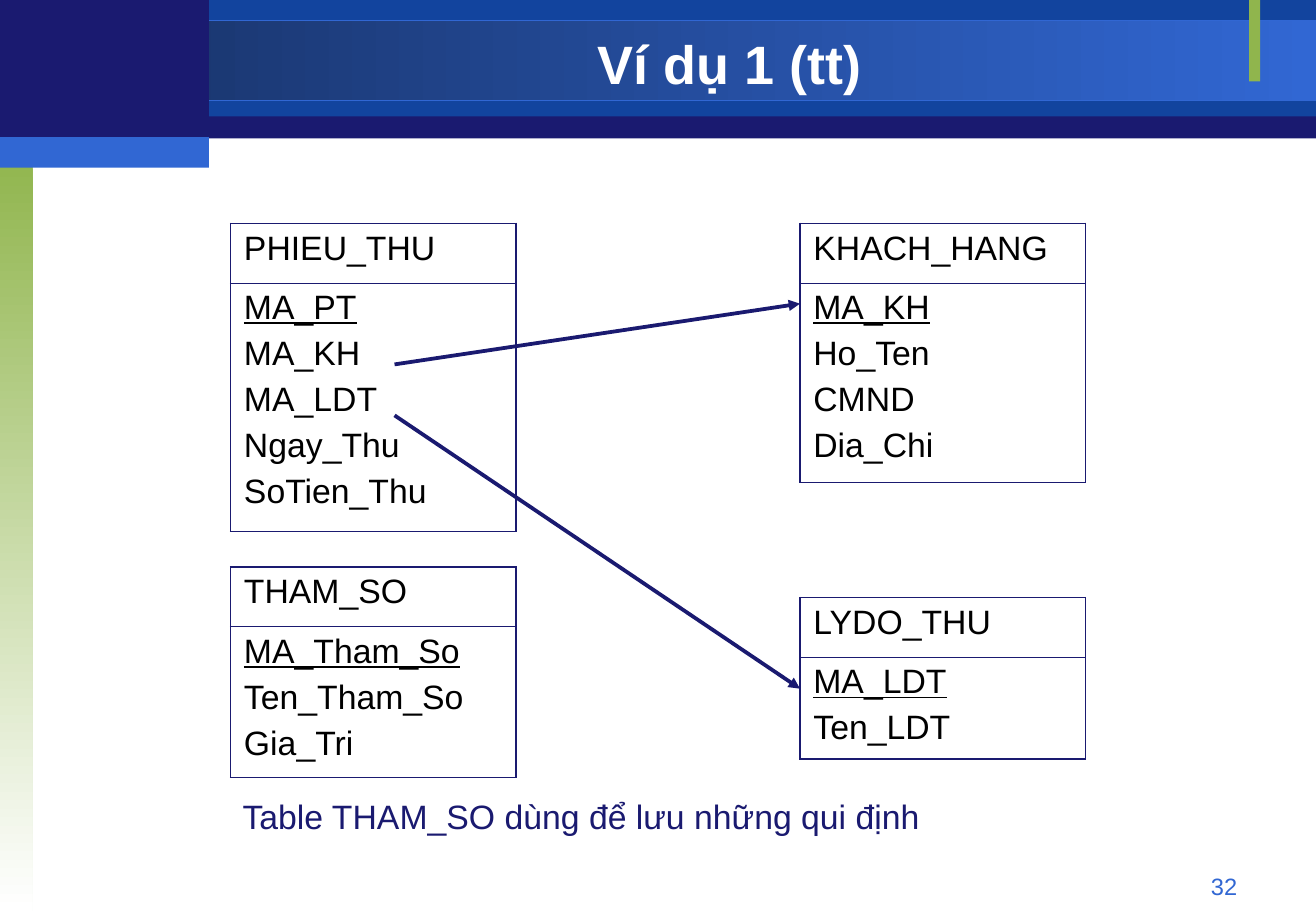
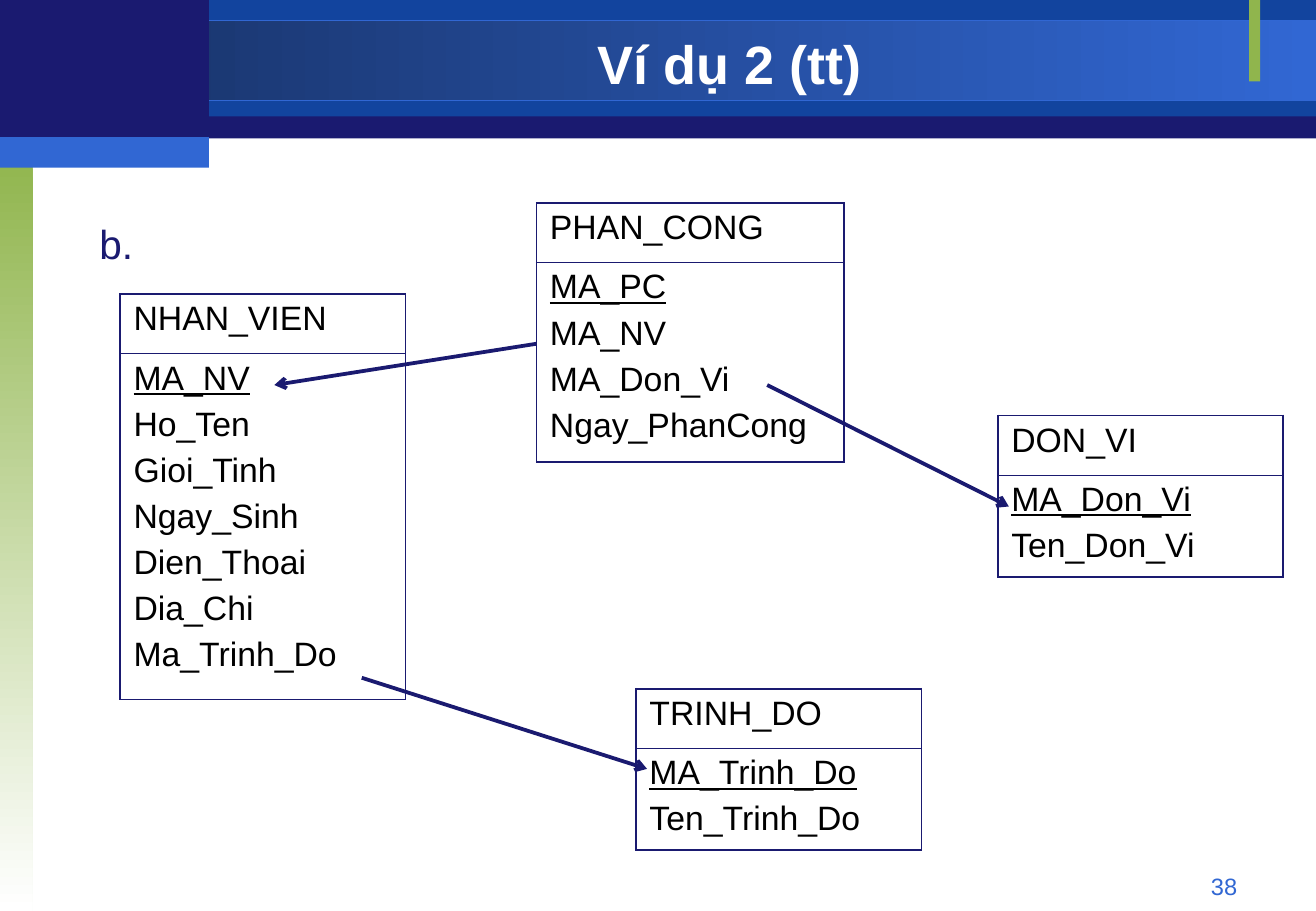
from lxml.etree import SubElement
from pptx import Presentation
from pptx.dml.color import RGBColor
from pptx.enum.shapes import MSO_CONNECTOR, MSO_SHAPE
from pptx.enum.text import MSO_ANCHOR, PP_ALIGN
from pptx.oxml.ns import qn
from pptx.util import Inches, Pt

W, H = 10.84, 7.5
FONT = "Arial"
C = {"navy": "1A1A70", "band": "12449E", "deep": "173062", "blue": "3167D3",
     "green": "90B54D", "white": "FFFFFF", "black": "000000"}

SIDE = 1.72
BANDS = [
    ((0, 0.01, W, 1.13), ["navy"], 0, None),
    ((SIDE, 0, W - SIDE, 0.96), ["band"], 0, None),
    ((0, 0.17, W, 0.66), ["deep", "blue"], 0, "blue"),
    ((0, 1.25, 0.27, H - 1.25), ["green", "white"], 270, None),
    ((10.29, 0, 0.09, 0.67), ["green"], 0, None),
    ((0, 0, SIDE, 1.17), ["navy"], 0, None),
    ((0, 1.13, SIDE, 0.25), ["blue"], 0, None),
]

HEAD_H, LINE_H, PAD_H = 0.49, 0.4, 0.04
ENTITY_W, WIDE_W = 2.35, 2.53

SLIDES = [
    {
        "title": "Ví dụ 1 (tt)", "number": "32", "arrowhead": "triangle",
        "entities": [
            (1.9, 1.84, ENTITY_W, "PHIEU_THU",
             ["MA_PT", "MA_KH", "MA_LDT", "Ngay_Thu", "SoTien_Thu"]),
            (6.59, 1.84, ENTITY_W, "KHACH_HANG",
             ["MA_KH", "Ho_Ten", "CMND", "Dia_Chi"]),
            (6.59, 4.92, ENTITY_W, "LYDO_THU", ["MA_LDT", "Ten_LDT"]),
            (1.9, 4.67, ENTITY_W, "THAM_SO",
             ["MA_Tham_So", "Ten_Tham_So", "Gia_Tri"]),
        ],
        "links": [(3.25, 3, 6.59, 2.5), (3.25, 3.42, 6.59, 5.67)],
        "note": ((1.9, 6.5, 7.67, 0.44),
                 "Table THAM_SO dùng để lưu những qui định", 20),
    },
    {
        "title": "Ví dụ 2 (tt)", "number": "38", "arrowhead": "arrow",
        "entities": [
            (0.99, 2.42, ENTITY_W, "NHAN_VIEN",
             ["MA_NV", "Ho_Ten", "Gioi_Tinh", "Ngay_Sinh", "Dien_Thoai",
              "Dia_Chi", "Ma_Trinh_Do"]),
            (8.22, 3.42, ENTITY_W, "DON_VI", ["MA_Don_Vi", "Ten_Don_Vi"]),
            (5.24, 5.67, ENTITY_W, "TRINH_DO", ["MA_Trinh_Do", "Ten_Trinh_Do"]),
            (4.42, 1.67, WIDE_W, "PHAN_CONG",
             ["MA_PC", "MA_NV", "MA_Don_Vi", "Ngay_PhanCong"]),
        ],
        "links": [(4.42, 2.83, 2.26, 3.17), (2.98, 5.58, 5.33, 6.33),
                  (6.32, 3.17, 8.31, 4.17)],
        "note": ((0.72, 1.75, 0.63, 0.5), "b.", 24),
    },
]


def rgb(name):
    return RGBColor.from_string(C[name])


def box(at):
    return [Inches(v) for v in at]


def add_run(p, text, size, color, bold=False, underline=False):
    r = p.add_run()
    r.text = text
    f = r.font
    f.name, f.size, f.bold, f.underline = FONT, Pt(size), bold, underline
    f.color.rgb = rgb(color)


def add_text(s, at, text, size, color, align=PP_ALIGN.LEFT,
             anchor=MSO_ANCHOR.TOP, bold=False):
    tf = s.shapes.add_textbox(*box(at)).text_frame
    tf.word_wrap = True
    tf.vertical_anchor = anchor
    p = tf.paragraphs[0]
    p.alignment = align
    add_run(p, text, size, color, bold)


def add_band(s, at, colors, angle, line):
    sp = s.shapes.add_shape(MSO_SHAPE.RECTANGLE, *box(at))
    sp.shadow.inherit = False
    if len(colors) == 1:
        sp.fill.solid()
        sp.fill.fore_color.rgb = rgb(colors[0])
    else:
        sp.fill.gradient()
        sp.fill.gradient_angle = angle
        for stop, color, pos in zip(sp.fill.gradient_stops, colors, (0, 1)):
            stop.color.rgb = rgb(color)
            stop.position = pos
    if line:
        sp.line.color.rgb = rgb(line)
        sp.line.width = Pt(0.75)
    else:
        sp.line.fill.background()


def set_borders(cell, widths):
    tcPr = cell._tc.get_or_add_tcPr()
    for side, width in widths.items():
        ln = SubElement(tcPr, qn("a:ln" + side), w=str(Pt(width)))
        fill = SubElement(ln, qn("a:solidFill"))
        SubElement(fill, qn("a:srgbClr"), val=C["navy"])


def add_entity(s, x, y, w, name, fields):
    body_h = PAD_H + LINE_H * len(fields)
    tbl = s.shapes.add_table(2, 1, *box((x, y, w, HEAD_H + body_h))).table
    tbl.first_row = tbl.horz_banding = False
    outer, inner = 1.08, 0.45
    rows = [(HEAD_H, [name], outer, inner), (body_h, fields, inner, outer)]
    for i, (height, lines, top, bottom) in enumerate(rows):
        tbl.rows[i].height = Inches(height)
        cell = tbl.cell(i, 0)
        set_borders(cell, {"L": outer, "R": outer, "T": top, "B": bottom})
        cell.fill.background()
        cell.margin_left = cell.margin_right = Inches(0.11)
        cell.margin_top = cell.margin_bottom = Inches(0.05)
        tf = cell.text_frame
        for j, text in enumerate(lines):
            p = tf.add_paragraph() if j else tf.paragraphs[0]
            if j:
                p.space_before = Pt(5)
            add_run(p, text, 20, "black", underline=i == 1 and j == 0)


def add_link(s, ends, head):
    cn = s.shapes.add_connector(MSO_CONNECTOR.STRAIGHT, *box(ends))
    cn.line.color.rgb = rgb("navy")
    cn.line.width = Pt(2.25)
    SubElement(cn.line._get_or_add_ln(), qn("a:tailEnd"), type=head)
    SubElement(cn._element.spPr, qn("a:effectLst"))


def build(prs, data):
    s = prs.slides.add_slide(prs.slide_layouts[6])
    for band in BANDS:
        add_band(s, *band)
    add_text(s, (7.76, 7.13, 2.53, 0.27), data["number"], 14, "blue",
             PP_ALIGN.RIGHT)
    add_text(s, (SIDE, 0.23, 8.58, 0.58), data["title"], 32, "white",
             PP_ALIGN.CENTER, MSO_ANCHOR.MIDDLE, True)
    for entity in data["entities"]:
        add_entity(s, *entity)
    for ends in data["links"]:
        add_link(s, ends, data["arrowhead"])
    at, text, size = data["note"]
    add_text(s, at, text, size, "navy")


def main():
    prs = Presentation()
    prs.slide_width, prs.slide_height = Inches(W), Inches(H)
    for data in SLIDES:
        build(prs, data)
    prs.save("out.pptx")


if __name__ == "__main__":
    main()
